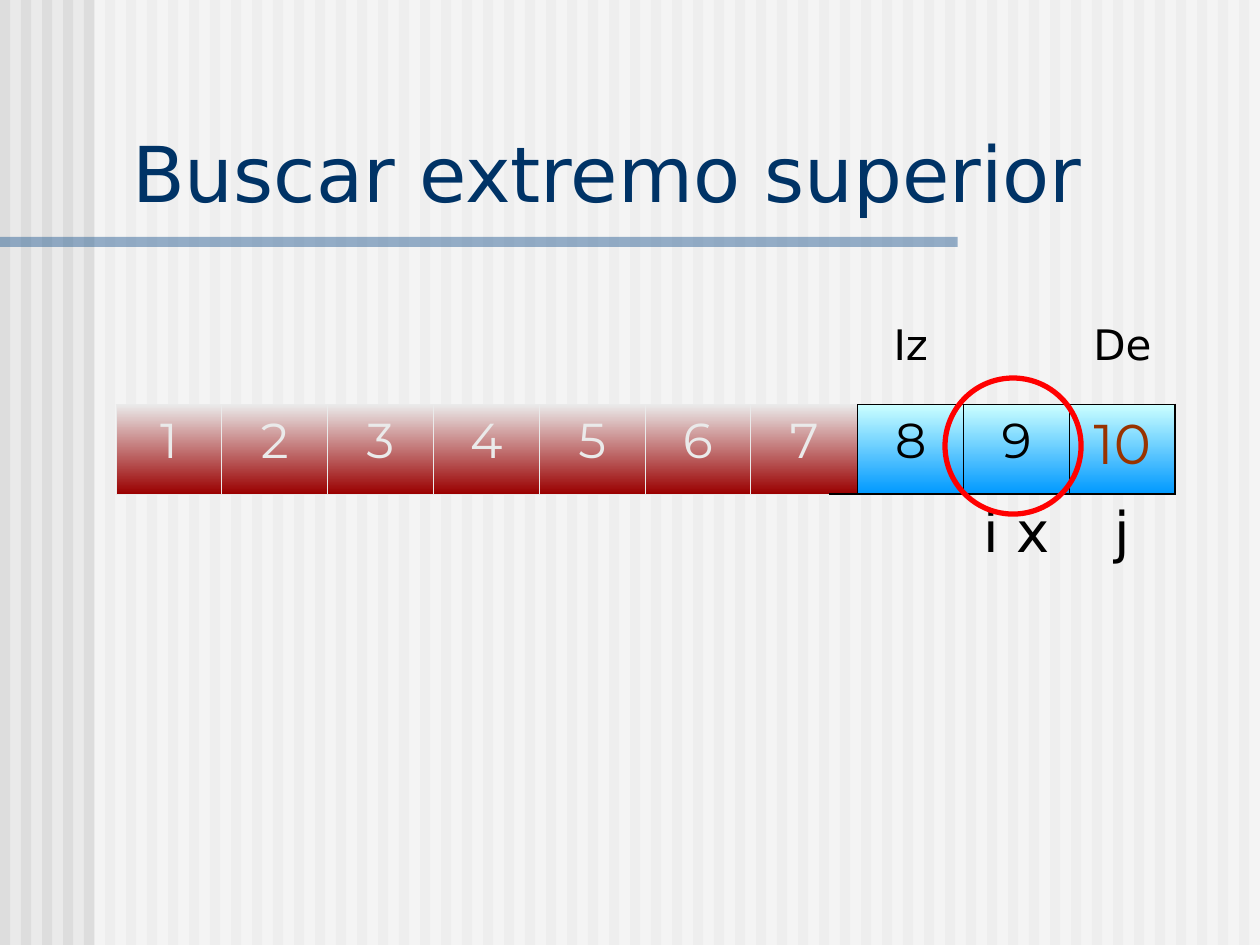
from lxml import etree
from pptx import Presentation
from pptx.dml.color import RGBColor
from pptx.enum.shapes import MSO_SHAPE
from pptx.enum.text import MSO_ANCHOR, PP_ALIGN
from pptx.oxml.ns import qn
from pptx.util import Inches, Pt

RECTANGLE = MSO_SHAPE.RECTANGLE
OVAL = MSO_SHAPE.OVAL
CENTER = PP_ALIGN.CENTER
BOTTOM = MSO_ANCHOR.BOTTOM

GRAY = RGBColor(0xEA, 0xEA, 0xEA)
STRIPE = RGBColor(0xDD, 0xDD, 0xDD)
WHITE = RGBColor(0xFF, 0xFF, 0xFF)
BLACK = RGBColor(0, 0, 0)
NAVY = RGBColor(0x00, 0x33, 0x66)
BLUE = RGBColor(0x33, 0x66, 0x99)
RED = RGBColor(0xFF, 0, 0)
DARK_RED = RGBColor(0x9A, 0, 0)
BROWN = RGBColor(0x99, 0x33, 0)
LIGHT_CYAN = RGBColor(0xCC, 0xFF, 0xFF)
SKY = RGBColor(0x00, 0x99, 0xFF)

SANS, NUMBERS = "DejaVu Sans", "Montserrat"
NO_STYLE = "{2D5ABB26-0587-4C30-8999-92F81FD0307C}"
THIN, THICK = (GRAY, 0.45), (BLACK, 1.08)
THIN_BLACK = (BLACK, 0.45)

TITLE = "Buscar extremo superior"
COLUMN_WIDTHS = [0.84] * 6 + [0.62, 0.23] + [0.84] * 3
ROW_HEIGHT = 0.71
MERGES = [(0, 6), (1, 6), (2, 7)]
DISCARDED = [(column, str(column + 1)) for column in range(7)]
ACTIVE = [(8, "8", 28, BLACK), (9, "9", 28, BLACK), (10, "10", 32, BROWN)]
LIMITS = [(8, "Iz"), (10, "De")]
INDICES = [(9, "i x"), (10, "j")]


def add_block(slide, kind, left, top, width, height, color=None, opacity=None):
    shape = slide.shapes.add_shape(
        kind, Inches(left), Inches(top), Inches(width), Inches(height))
    shape.shadow.inherit = False
    shape.line.fill.background()
    if color is None:
        shape.fill.background()
        return shape
    shape.fill.solid()
    shape.fill.fore_color.rgb = color
    if opacity:
        color_element = shape.fill._xPr.find(qn("a:solidFill"))[0]
        etree.SubElement(color_element, qn("a:alpha"), val=str(opacity * 1000))
    return shape


def write(paragraph, text, font, size, color):
    paragraph.text = text
    run_font = paragraph.runs[0].font
    run_font.name = font
    run_font.size = Pt(size)
    run_font.color.rgb = color


def write_cell(cell, text, font, size, color):
    paragraph = cell.text_frame.paragraphs[0]
    paragraph.alignment = CENTER
    paragraph.space_before = Pt(size / 4)
    write(paragraph, text, font, size, color)


def set_gradient(cell, start, end):
    cell.fill.gradient()
    cell.fill.gradient_angle = 270
    for stop, position, color in zip(cell.fill.gradient_stops, (0, 1), (start, end)):
        stop.position = position
        stop.color.rgb = color


def set_borders(cell, **borders):
    properties = cell._tc.get_or_add_tcPr()
    sides = [side for side in "LRTB" if side in borders]
    for index, side in enumerate(sides):
        color, width = borders[side]
        line = etree.Element(qn(f"a:ln{side}"), w=str(Pt(width)))
        fill = etree.SubElement(line, qn("a:solidFill"))
        etree.SubElement(fill, qn("a:srgbClr"), val=str(color))
        properties.insert(index, line)


def add_array(slide):
    frame = slide.shapes.add_table(
        3, len(COLUMN_WIDTHS), Inches(0.92), Inches(2.5),
        Inches(sum(COLUMN_WIDTHS)), Inches(3 * ROW_HEIGHT))
    table = frame.table
    table.first_row = table.horz_banding = False
    table._tbl.tblPr.find(qn("a:tableStyleId")).text = NO_STYLE
    for column, width in zip(table.columns, COLUMN_WIDTHS):
        column.width = Inches(width)
    for row in table.rows:
        row.height = Inches(ROW_HEIGHT)
    for cell in table.iter_cells():
        cell.fill.background()
    for row, column in MERGES:
        table.cell(row, column).merge(table.cell(row, column + 1))

    for column in range(len(COLUMN_WIDTHS)):
        set_borders(table.cell(0, column), B=THIN if column < 8 else THICK)
        set_borders(table.cell(2, column), T=THIN if column < 7 else THICK)

    for column, text in DISCARDED:
        cell = table.cell(1, column)
        write_cell(cell, text, NUMBERS, 28, GRAY)
        set_gradient(cell, GRAY, DARK_RED)
        right = THIN_BLACK if column == 6 else THIN
        set_borders(cell, L=THIN, R=right, T=THIN, B=THIN)

    for column, text, size, color in ACTIVE:
        cell = table.cell(1, column)
        write_cell(cell, text, NUMBERS, size, color)
        set_gradient(cell, LIGHT_CYAN, SKY)
        right = THICK if column == 10 else THIN_BLACK
        set_borders(cell, L=THIN_BLACK, R=right, T=THICK, B=THICK)

    for row, labels, size in [(0, LIMITS, 24), (2, INDICES, 32)]:
        for column, text in labels:
            write_cell(table.cell(row, column), text, SANS, size, BLACK)


def main():
    presentation = Presentation()
    presentation.slide_width = Inches(10)
    presentation.slide_height = Inches(7.5)
    slide = presentation.slides.add_slide(presentation.slide_layouts[6])
    slide.background.fill.solid()
    slide.background.fill.fore_color.rgb = GRAY

    for index in range(60):
        add_block(slide, RECTANGLE, index / 6, 0, 0.08, 7.5, STRIPE)
    add_block(slide, RECTANGLE, 0.75, 0, 9.25, 7.5, WHITE, 50)
    add_block(slide, RECTANGLE, 0, 1.88, 7.6, 0.08, BLUE, 50)

    add_array(slide)

    title = slide.shapes.add_textbox(
        Inches(0.95), Inches(0.94), Inches(8.93), Inches(0.84))
    title.text_frame.word_wrap = True
    title.text_frame.vertical_anchor = BOTTOM
    write(title.text_frame.paragraphs[0], TITLE, SANS, 44, NAVY)

    circle = add_block(slide, OVAL, 7.5, 3, 1.08, 1.08)
    circle.line.color.rgb = RED
    circle.line.width = Pt(3)

    presentation.save("out.pptx")


if __name__ == "__main__":
    main()
